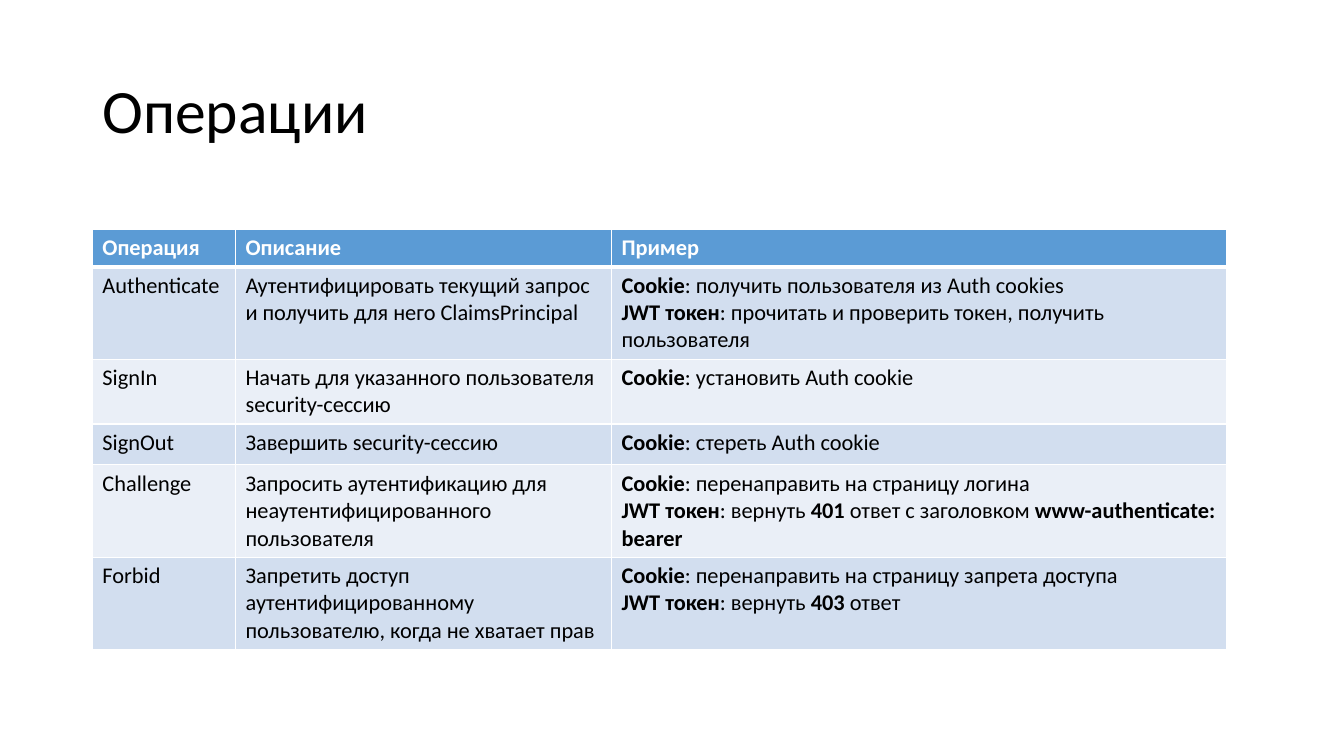
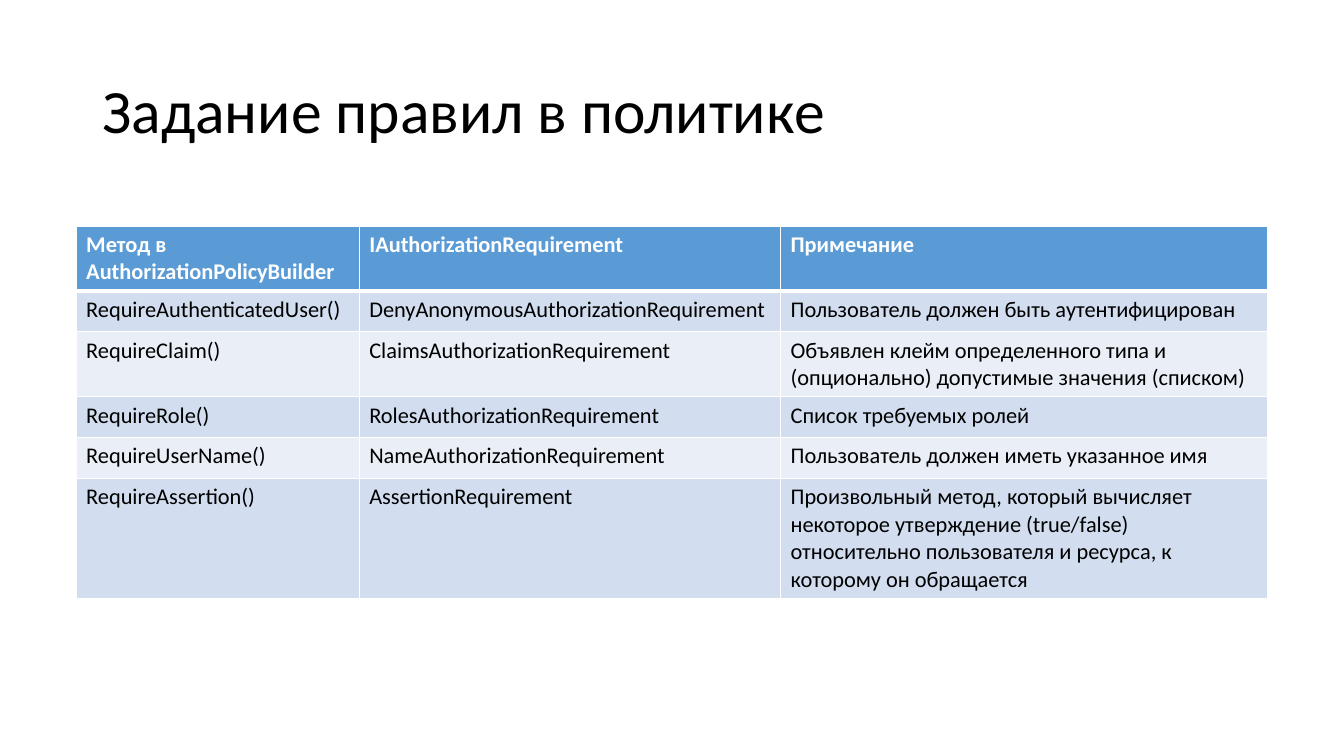
import pptx
import pptx.dml.color
import pptx.enum.text
import pptx.oxml
import pptx.oxml.ns
import pptx.util

Pt = pptx.util.Pt


def color(value):
    return pptx.dml.color.RGBColor.from_string(value)


class Deck:
    FONT = "Calibri"
    TEXT = "000000"
    WHITE = "FFFFFF"
    HEADER = "5B9BD5"
    BANDS = ("D2DEEF", "EAEFF7")
    ROW_HEIGHT = 29.2

    def __init__(self):
        self.prs = pptx.Presentation()
        self.prs.slide_width, self.prs.slide_height = Pt(960), Pt(540)
        self.s = None

    def add_slide(self, title):
        self.s = self.prs.slides.add_slide(self.prs.slide_layouts[5])
        sp = self.s.shapes.title
        sp.left, sp.top, sp.width, sp.height = Pt(66), Pt(28.75), Pt(828), Pt(104.4)
        tf = sp.text_frame
        tf.text = title
        tf.vertical_anchor = pptx.enum.text.MSO_ANCHOR.MIDDLE
        p = tf.paragraphs[0]
        p.alignment = pptx.enum.text.PP_ALIGN.LEFT
        p.line_spacing = 0.9
        self.style(p, 44, self.TEXT)

    def style(self, p, size, text_color, bold=False):
        p.font.name = self.FONT
        p.font.size = Pt(size)
        p.font.bold = bold
        p.font.color.rgb = color(text_color)

    def add_table(self, left, top, widths, rows, header_height=ROW_HEIGHT):
        heights = [header_height] + [self.ROW_HEIGHT] * (len(rows) - 1)
        table = self.s.shapes.add_table(
            len(rows), len(widths), Pt(left), Pt(top), Pt(sum(widths)), Pt(sum(heights))
        ).table
        table.horz_banding = False
        for column, width in zip(table.columns, widths):
            column.width = Pt(width)
        for i, (row, height, texts) in enumerate(zip(table.rows, heights, rows)):
            row.height = Pt(height)
            for cell, text in zip(row.cells, texts):
                self.fill_cell(cell, text, i)

    def fill_cell(self, cell, text, row):
        """Write one cell; **marks** enclose bold words, a newline starts a paragraph."""
        header = row == 0
        self.border(cell, "T", 3 if row == 1 else 1)
        self.border(cell, "B", 3 if header else 1)
        cell.fill.solid()
        cell.fill.fore_color.rgb = color(self.HEADER if header else self.BANDS[(row - 1) % 2])
        tf = cell.text_frame
        for i, line in enumerate(text.split("\n")):
            p = tf.add_paragraph() if i else tf.paragraphs[0]
            self.style(p, 16, self.WHITE if header else self.TEXT, header)
            for j, part in enumerate(line.split("**")):
                if part:
                    r = p.add_run()
                    r.text = part
                    if j % 2:
                        r.font.bold = True

    def border(self, cell, side, width):
        """Draw a white border; the left and right ones come with the top one."""
        sides = "LRT" if side == "T" else side
        for name in sides:
            points = width if name == side else 1
            cell._tc.get_or_add_tcPr().append(pptx.oxml.parse_xml(
                f'<a:ln{name} {pptx.oxml.ns.nsdecls("a")} w="{Pt(points)}">'
                f'<a:solidFill><a:srgbClr val="{self.WHITE}"/></a:solidFill></a:ln{name}>'
            ))


OPERATIONS = [
    ("Операция", "Описание", "Пример"),
    ("Authenticate", "Аутентифицировать текущий запрос и получить для него ClaimsPrincipal",
     "**Cookie**: получить пользователя из Auth cookies\n"
     "**JWT токен**: прочитать и проверить токен, получить пользователя"),
    ("SignIn", "Начать для указанного пользователя security-сессию",
     "**Cookie**: установить Auth cookie"),
    ("SignOut", "Завершить security-сессию", "**Cookie**: стереть Auth cookie"),
    ("Challenge", "Запросить аутентификацию для неаутентифицированного пользователя",
     "**Cookie**: перенаправить на страницу логина\n"
     "**JWT токен**: вернуть **401** ответ с заголовком **www-authenticate: bearer**"),
    ("Forbid", "Запретить доступ аутентифицированному пользователю, когда не хватает прав",
     "**Cookie**: перенаправить на страницу запрета доступа\n"
     "**JWT токен**: вернуть **403** ответ"),
]

POLICY_RULES = [
    ("Метод в AuthorizationPolicyBuilder", "IAuthorizationRequirement", "Примечание"),
    ("RequireAuthenticatedUser()", "DenyAnonymousAuthorizationRequirement",
     "Пользователь должен быть аутентифицирован"),
    ("RequireClaim()", "ClaimsAuthorizationRequirement",
     "Объявлен клейм определенного типа и (опционально) допустимые значения (списком)"),
    ("RequireRole()", "RolesAuthorizationRequirement", "Список требуемых ролей"),
    ("RequireUserName()", "NameAuthorizationRequirement",
     "Пользователь должен иметь указанное имя"),
    ("RequireAssertion()", "AssertionRequirement",
     "Произвольный метод, который вычисляет некоторое утверждение (true/false) "
     "относительно пользователя и ресурса, к которому он обращается"),
]


def main():
    deck = Deck()
    deck.add_slide("Операции")
    deck.add_table(66, 163.8, (102.2, 268.6, 439.2), OPERATIONS, header_height=26)
    deck.add_slide("Задание правил в политике")
    deck.add_table(54.4, 161.5, (202.2, 301, 347.8), POLICY_RULES)
    deck.prs.save("out.pptx")


if __name__ == "__main__":
    main()
